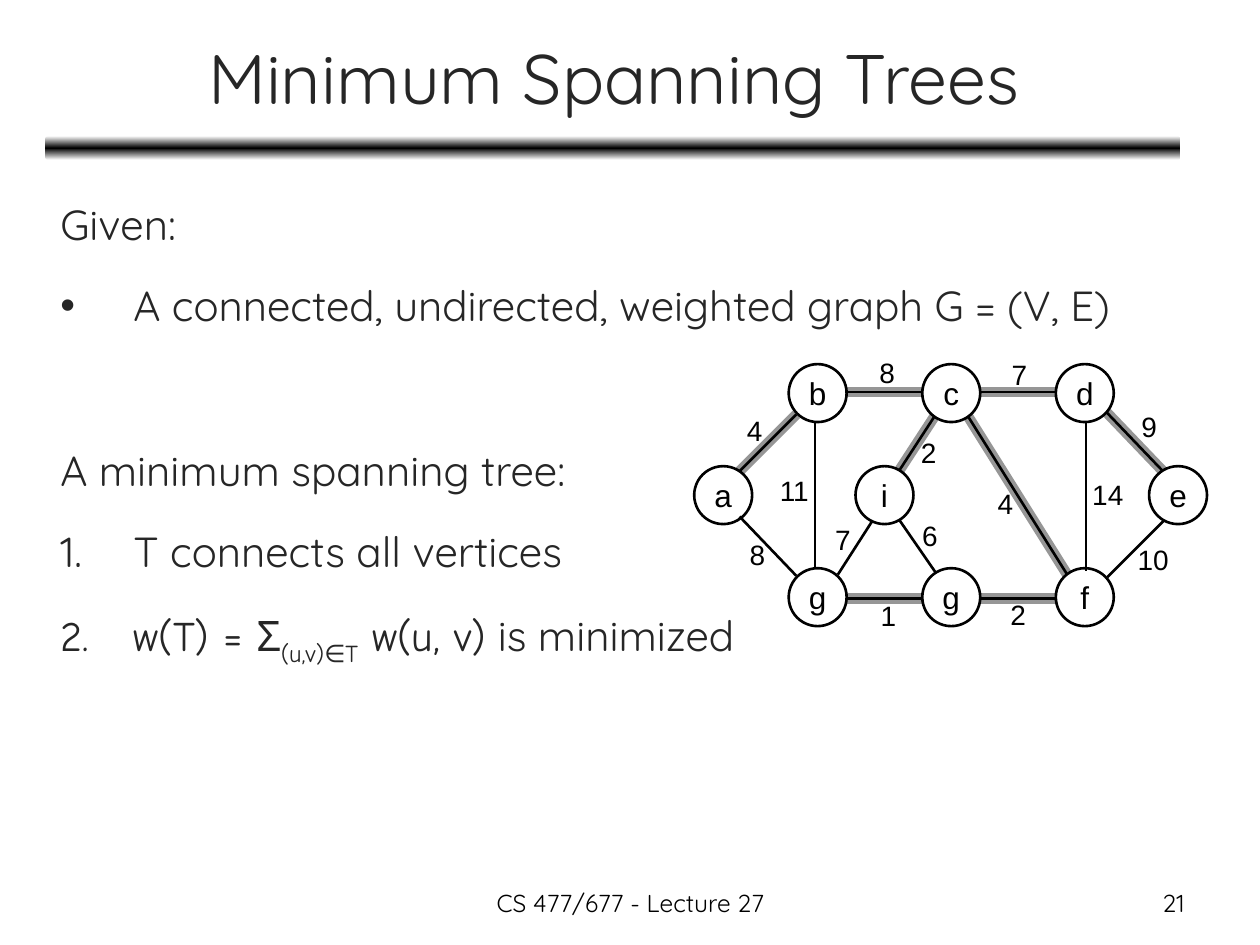
import copy

import pptx
import pptx.dml.color
import pptx.enum.shapes
import pptx.enum.text
import pptx.oxml
import pptx.oxml.ns
import pptx.util

Inches = pptx.util.Inches
Pt = pptx.util.Pt
RGBColor = pptx.dml.color.RGBColor
qn = pptx.oxml.ns.qn
ALIGN = pptx.enum.text.PP_ALIGN
ANCHOR = pptx.enum.text.MSO_ANCHOR
AUTO_SIZE = pptx.enum.text.MSO_AUTO_SIZE
SHAPE = pptx.enum.shapes.MSO_SHAPE

BLACK = RGBColor(0x00, 0x00, 0x00)
WHITE = RGBColor(0xFF, 0xFF, 0xFF)
INK = RGBColor(0x26, 0x26, 0x26)
TREE_GRAY = RGBColor(0x96, 0x96, 0x96)

TITLE = {"name": "Quicksand", "size": Pt(40)}
BODY = {"name": "Quicksand", "size": Pt(24)}
FORMULA = {"name": "Comic Neue", "size": Pt(24)}
FOOTER = {"name": "Quicksand", "size": Pt(14)}
NODE = {"name": "Arial", "size": Pt(18)}
WEIGHT = {"name": "Arial", "size": Pt(16)}

NODE_SIZE = 0.46
ROWS = {"top": 2.89, "middle": 3.7, "bottom": 4.51}
NODES = [
    ("a", 5.51, "middle"), ("b", 6.26, "top"), ("c", 7.32, "top"),
    ("d", 8.38, "top"), ("e", 9.12, "middle"), ("g", 6.26, "bottom"),
    ("g", 7.32, "bottom"), ("f", 8.38, "bottom"), ("i", 6.79, "middle"),
]

# start, end, weight, top left of the weight, whether the edge is in the tree
EDGES = [
    ((6.47, 3.36), (6.47, 4.52), "11", (6.09, 3.71), False),
    ((8.62, 3.36), (8.62, 4.53), "14", (8.57, 3.74), False),
    ((6.71, 3.11), (7.32, 3.11), "8", (6.88, 2.77), True),
    ((7.78, 3.11), (8.39, 3.11), "7", (7.93, 2.79), True),
    ((6.72, 4.75), (7.32, 4.75), "1", (6.89, 4.7), True),
    ((7.78, 4.75), (8.39, 4.75), "2", (7.92, 4.69), True),
    ((5.87, 3.74), (6.32, 3.29), "4", (5.83, 3.23), True),
    ((8.79, 4.58), (9.24, 4.13), "10", (8.93, 4.26), False),
    ((8.78, 3.27), (9.23, 3.74), "9", (8.96, 3.2), True),
    ((5.87, 4.1), (6.32, 4.57), "8", (5.85, 4.22), False),
    ((7.68, 3.3), (8.47, 4.56), "4", (7.82, 3.81), True),
    ((7.14, 4.13), (7.43, 4.55), "6", (7.22, 4.07), False),
    ((6.65, 4.56), (6.92, 4.14), "7", (6.53, 4.1), False),
    ((7.14, 3.73), (7.42, 3.3), "2", (7.21, 3.41), True),
]

# bullet, space before in points, runs with format and baseline shift
BODY_PARAGRAPHS = [
    (None, 0, [("Given:", BODY, 0)]),
    ("•", 3, [("A connected, undirected, weighted graph G = (V, E)", BODY, 0)]),
    (None, 51, [("A minimum spanning tree:", BODY, 0)]),
    ("number", 3, [("T connects all vertices", BODY, 0)]),
    ("number", 3, [("w(T) = Σ", FORMULA, 0), ("(u,v)∈T", FORMULA, -25000),
                   (" w(u, v)", FORMULA, 0), (" is minimized", BODY, 0)]),
]


def apply_font(font, font_format, color):
    for name, value in font_format.items():
        setattr(font, name, value)
    font.color.rgb = color


def add_text(shapes, text, box, font_format, color=BLACK, align=ALIGN.LEFT, **frame_format):
    shape = shapes.add_textbox(*map(Inches, box))
    frame_format = {"word_wrap": True, **frame_format}
    for name, value in frame_format.items():
        setattr(shape.text_frame, name, value)
    paragraph = shape.text_frame.paragraphs[0]
    paragraph.text = text
    paragraph.alignment = align
    apply_font(paragraph.runs[0].font, font_format, color)


def add_rule(shapes):
    shape = shapes.add_shape(SHAPE.ROUNDED_RECTANGLE, *map(Inches, (0.36, 1.08, 9.01, 0.19)))
    shape.shadow.inherit = False
    shape.line.fill.background()
    shape.fill.gradient()
    shape.fill.gradient_angle = 90
    stop_list = shape._element.spPr.find(".//" + qn("a:gsLst"))
    stop_list.append(copy.deepcopy(stop_list[0]))
    for stop, color, position in zip(shape.fill.gradient_stops, (WHITE, BLACK, WHITE), (0, 0.5, 1)):
        stop.color.rgb = color
        stop.position = position


def set_bullet(paragraph, bullet):
    properties = paragraph._p.get_or_add_pPr()
    properties.set("marL", str(Inches(0.58)))
    properties.set("indent", str(-Inches(0.58)))
    if bullet == "number":
        element = pptx.oxml.parse_xml(
            f'<a:buAutoNum {pptx.oxml.ns.nsdecls("a")} type="arabicPeriod"/>')
        properties.append(element)
    elif bullet:
        for tag, attribute, value in (("buFont", "typeface", "Arial"), ("buChar", "char", bullet)):
            properties.append(pptx.oxml.parse_xml(
                f'<a:{tag} {pptx.oxml.ns.nsdecls("a")} {attribute}="{value}"/>'))


def add_body(shapes):
    text_frame = shapes.add_textbox(*map(Inches, (0.38, 1.33, 9.39, 5.96))).text_frame
    text_frame.word_wrap = True
    for index, (bullet, space_before, runs) in enumerate(BODY_PARAGRAPHS):
        paragraph = text_frame.add_paragraph() if index else text_frame.paragraphs[0]
        set_bullet(paragraph, bullet)
        paragraph.line_spacing = 1.5
        if space_before:
            paragraph.space_before = Pt(space_before)
        for text, font_format, baseline in runs:
            run = paragraph.add_run()
            run.text = text
            apply_font(run.font, font_format, INK)
            if baseline:
                run._r.get_or_add_rPr().set("baseline", str(baseline))


def add_edge(shapes, start, end, color, width):
    connector = shapes.add_connector(
        pptx.enum.shapes.MSO_CONNECTOR.STRAIGHT, *map(Inches, start + end))
    connector.line.color.rgb = color
    connector.line.width = Pt(width)
    connector._element.spPr.append(
        pptx.oxml.parse_xml(f'<a:effectLst {pptx.oxml.ns.nsdecls("a")}/>'))


def add_node(shapes, label, left, top):
    shape = shapes.add_shape(SHAPE.OVAL, *map(Inches, (left, top, NODE_SIZE, NODE_SIZE)))
    shape.shadow.inherit = False
    shape.fill.background()
    shape.line.color.rgb = BLACK
    shape.line.width = Pt(1.5)
    shape.text_frame.word_wrap = False
    shape.text_frame.vertical_anchor = ANCHOR.MIDDLE
    paragraph = shape.text_frame.paragraphs[0]
    paragraph.text = label
    paragraph.alignment = ALIGN.CENTER
    apply_font(paragraph.runs[0].font, NODE, BLACK)


def add_graph(slide):
    shapes = slide.shapes.add_group_shape().shapes
    # Tree highlights lie behind the nodes
    for start, end, _, _, in_tree in EDGES:
        if in_tree:
            add_edge(shapes, start, end, TREE_GRAY, 6)
    for label, left, row in NODES:
        add_node(shapes, label, left, ROWS[row])
    for start, end, _, _, _ in EDGES:
        add_edge(shapes, start, end, BLACK, 1.5)
    # Edge weights
    for _, _, weight, corner, _ in EDGES:
        width = 0.32 if len(weight) == 1 else 0.45
        add_text(shapes, weight, (*corner, width, 0.37), WEIGHT,
                 word_wrap=False, auto_size=AUTO_SIZE.SHAPE_TO_FIT_TEXT)


def main():
    presentation = pptx.Presentation()
    presentation.slide_width = Inches(10)
    presentation.slide_height = Inches(7.5)
    slide = presentation.slides.add_slide(presentation.slide_layouts[6])
    shapes = slide.shapes

    # Heading and body
    add_rule(shapes)
    add_text(shapes, "Minimum Spanning Trees", (0.37, 0.11, 9, 0.99), TITLE, INK,
             ALIGN.CENTER, vertical_anchor=ANCHOR.MIDDLE)
    add_body(shapes)

    # Weighted graph
    add_graph(slide)

    # Footer
    add_text(shapes, "CS 477/677 - Lecture 27", (3.42, 7, 3.17, 0.35), FOOTER, align=ALIGN.CENTER)
    add_text(shapes, "21", (7.17, 7, 2.33, 0.35), FOOTER, align=ALIGN.RIGHT)

    presentation.save("out.pptx")


if __name__ == "__main__":
    main()
